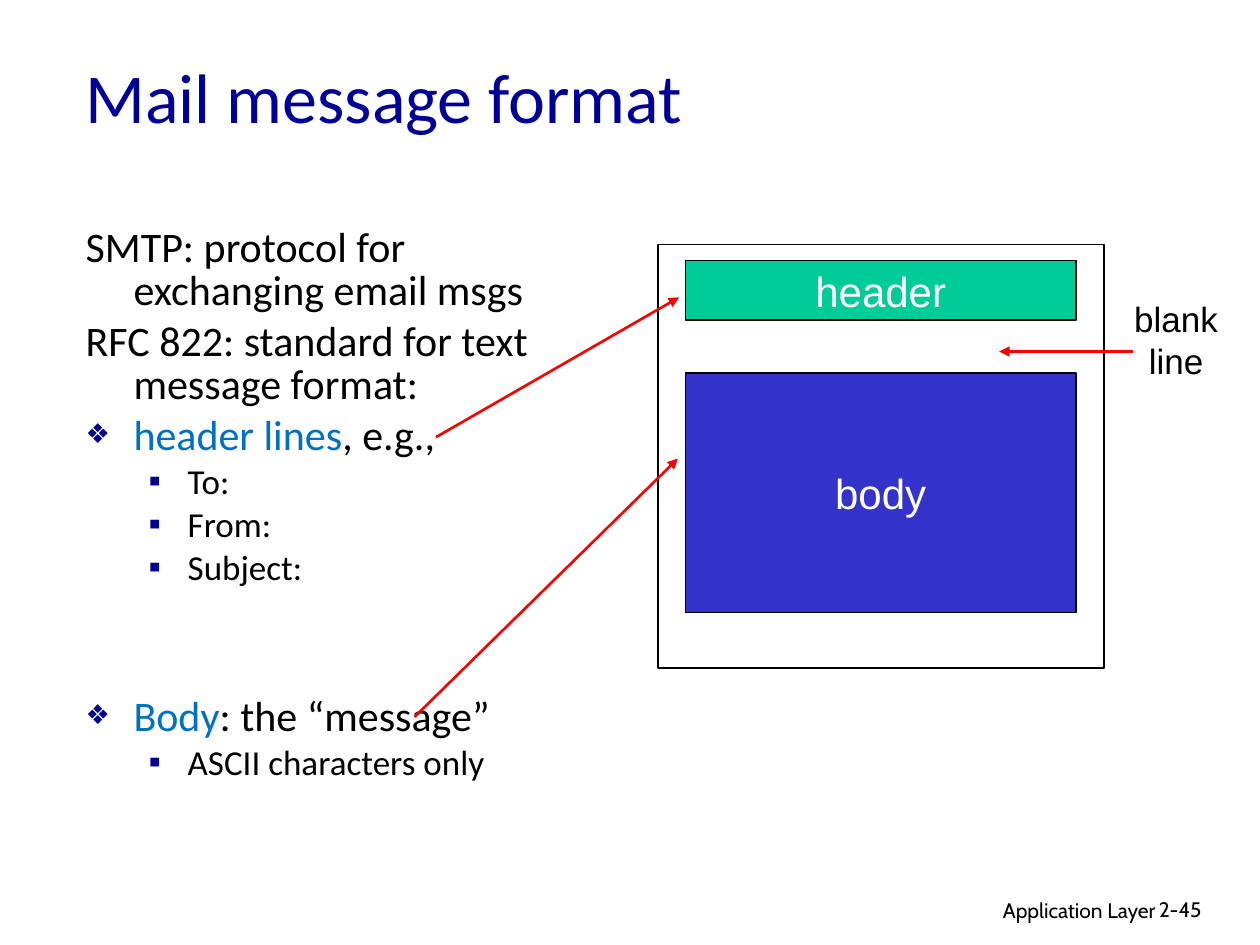
from lxml.etree import SubElement as Sub
from pptx import Presentation
from pptx.dml.color import RGBColor as Rgb
from pptx.enum.shapes import MSO_CONNECTOR as Conn, MSO_SHAPE as Form
from pptx.enum.text import MSO_ANCHOR as Anchor, MSO_AUTO_SIZE as Auto, PP_ALIGN as Align
from pptx.oxml.ns import qn
from pptx.util import Inches, Pt

BLACK, WHITE, NAVY, SKY, RED = "000000", "FFFFFF", "000099", "0070C0", "FF0000"
GREEN, BLUE = "00CC99", "3333CC"
COLS, ROWS = 100, 75
LEVELS = [
    dict(size=24, left=0.38, hang=0.38, mark="❖", scale=65),
    dict(size=20, left=0.81, hang=0.31, mark="▪", scale=100),
]


def tint(code):
    return Rgb.from_string(code)


class Deck:
    """Holds the style and the current slide, placing elements on a 100 by 75 grid."""

    def __init__(self):
        self.file = Presentation()
        self.file.slide_width, self.file.slide_height = Inches(10), Inches(7.5)
        self.slide = self.file.slides.add_slide(self.file.slide_layouts[1])
        self.shapes = self.slide.shapes

    def grid(self, *spots):
        units = self.file.slide_width / COLS, self.file.slide_height / ROWS
        return [round(spot * units[i % 2]) for i, spot in enumerate(spots)]

    def style(self, para, size, face, color=None, align=Align.LEFT):
        para.alignment = align
        para.font.size, para.font.name = Pt(size), face
        if color:
            para.font.color.rgb = tint(color)

    def move(self, shape, *spots):
        shape.left, shape.top, shape.width, shape.height = self.grid(*spots)
        shape.text_frame.auto_size = Auto.NONE
        shape.text_frame.word_wrap = True

    def title(self, text, *spots):
        shape = self.shapes.title
        self.move(shape, *spots)
        frame = shape.text_frame
        frame.text, frame.vertical_anchor = text, Anchor.MIDDLE
        self.style(frame.paragraphs[0], 40, "Calibri", NAVY)

    def bullet(self, para, level):
        props = para._p.get_or_add_pPr()
        Sub(Sub(props, qn("a:buClr")), qn("a:srgbClr"), val=NAVY)
        Sub(props, qn("a:buSzPct"), val=str(level["scale"] * 1000))
        Sub(props, qn("a:buChar"), char=level["mark"])

    def list(self, items, *spots):
        shape = self.slide.placeholders[1]
        self.move(shape, *spots)
        frame = shape.text_frame
        for i, (depth, mark, key, text, gap) in enumerate(items):
            para = frame.add_paragraph() if i else frame.paragraphs[0]
            level, para.level = LEVELS[depth], depth
            props = para._p.get_or_add_pPr()
            props.set("marL", str(Inches(level["left"])))
            props.set("indent", str(-Inches(level["hang"])))
            if mark:
                self.bullet(para, level)
            else:
                Sub(props, qn("a:buNone"))
            para.line_spacing = 0.85
            para.space_before = Pt(level["size"] * 0.2 + gap)
            self.style(para, level["size"], "Calibri")
            for part, color in ((key, SKY), (text, BLACK)):
                if part:
                    run = para.add_run()
                    run.text, run.font.color.rgb = part, tint(color)

    def box(self, *spots, fill=None, text=None, line=0.75):
        shape = self.shapes.add_shape(Form.RECTANGLE, *self.grid(*spots))
        shape.shadow.inherit = False
        shape.line.color.rgb, shape.line.width = tint(BLACK), Pt(line)
        if fill:
            shape.fill.solid()
            shape.fill.fore_color.rgb = tint(fill)
        else:
            shape.fill.background()
        if text:
            frame = shape.text_frame
            frame.text, frame.word_wrap = text, False
            frame.vertical_anchor = Anchor.MIDDLE
            self.style(frame.paragraphs[0], 24, "Arial", WHITE, Align.CENTER)

    def label(self, text, *spots, size=12, face="Cabin", align=Align.LEFT, wrap=True):
        frame = self.shapes.add_textbox(*self.grid(*spots)).text_frame
        frame.text, frame.word_wrap = text, wrap
        for para in frame.paragraphs:
            self.style(para, size, face, BLACK, align)

    def arrow(self, *spots):
        link = self.shapes.add_connector(Conn.STRAIGHT, *self.grid(*spots))
        link.line.color.rgb, link.line.width = tint(RED), Pt(1.5)
        Sub(link.line._get_or_add_ln(), qn("a:tailEnd"), type="triangle")
        Sub(link._element.spPr, qn("a:effectLst"))


def main():
    deck = Deck()
    deck.label("Application Layer", 61, 70.7, 31.7, 3.1, align=Align.RIGHT)
    deck.label("2-45", 91, 70.7, 7.4, 3)
    deck.title("Mail message format", 5.8, 1.3, 85, 12.5)
    deck.list([
        (0, False, "", "SMTP: protocol for exchanging email msgs", 0),
        (0, False, "", "RFC 822: standard for text message format:", 0),
        (0, True, "header lines", ", e.g.,", 0),
        (1, True, "", "To:", 0),
        (1, True, "", "From:", 0),
        (1, True, "", "Subject:", 0),
        (0, True, "Body", ": the “message”", 58),
        (1, True, "", "ASCII characters only", 0),
    ], 5.8, 17.6, 41.7, 50.8)
    deck.box(54.4, 20.7, 31, 4.7, fill=GREEN, text="header")
    deck.box(54.4, 29.6, 31, 19, fill=BLUE, text="body")
    deck.box(52.2, 19.4, 35.4, 33.6, line=1)
    deck.arrow(34.6, 34.7, 53.9, 23.6)
    deck.arrow(32.9, 56.9, 53.8, 36.4)
    deck.label("blank\nline", 89, 23.1, 8.7, 7.7, size=20, face="Arial",
               align=Align.CENTER, wrap=False)
    deck.arrow(89.9, 27.9, 79.3, 27.9)
    deck.file.save("out.pptx")


if __name__ == "__main__":
    main()
